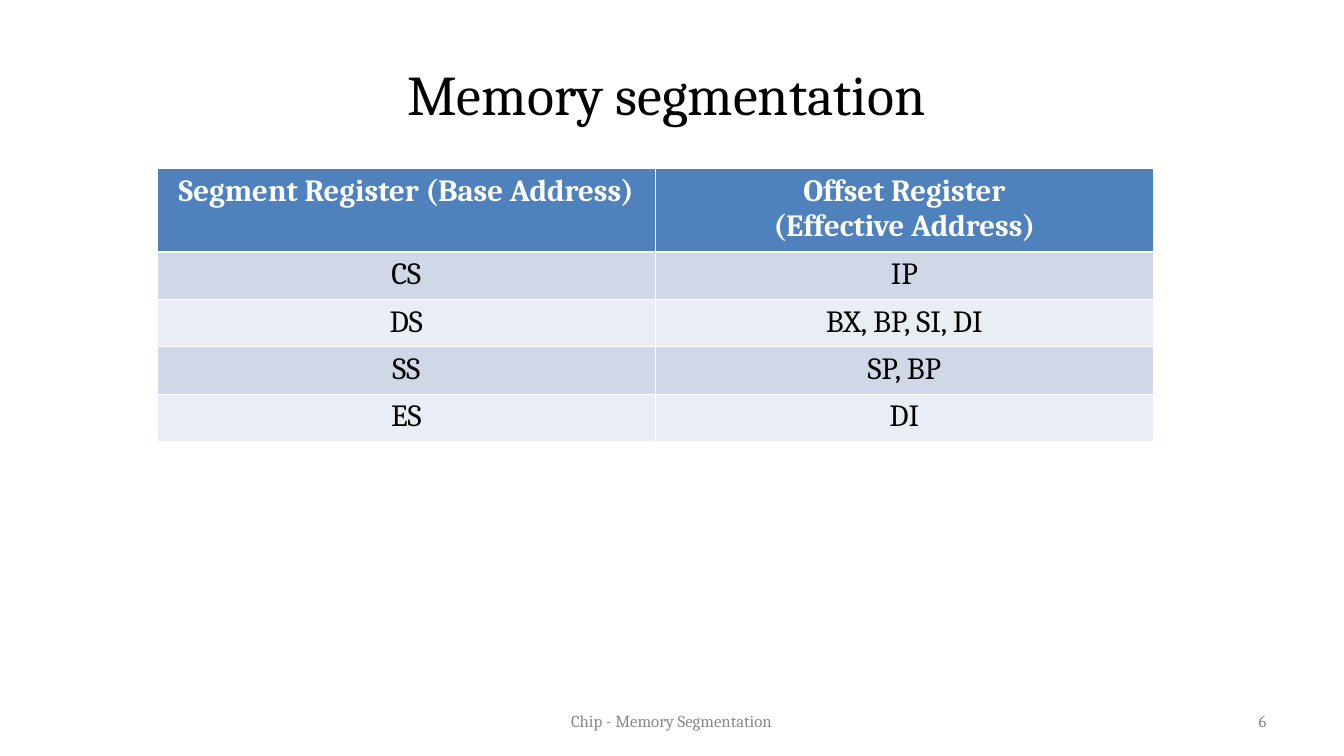
from dataclasses import dataclass

from lxml.etree import SubElement
from pptx import Presentation
from pptx.dml.color import RGBColor as Color
from pptx.enum.text import MSO_ANCHOR as Anchor, PP_ALIGN as Align
from pptx.oxml.ns import qn
from pptx.util import Inches, Pt

TITLE = "Memory segmentation "
HEADER = ("Segment Register (Base Address)", "Offset Register\n(Effective Address)")
REGISTERS = [
    ("CS", "IP"),
    ("DS", "BX, BP, SI, DI"),
    ("SS", "SP, BP"),
    ("ES", "DI"),
]
FOOTERS = [
    ("6", 9.55, 3.11, Align.RIGHT),
    ("Chip - Memory Segmentation", 4.55, 4.22, Align.CENTER),
]


@dataclass(frozen=True)
class Theme:
    font: str = "Cambria"
    title_size: float = 40
    table_size: float = 22
    footer_size: float = 12
    ink: str = "000000"
    paper: str = "FFFFFF"
    muted: str = "898989"
    header: str = "4F81BD"
    bands: tuple = ("D0D8E8", "E9EDF4")
    thin: float = 0.45
    thick: float = 1.47


THEME = Theme()


def style_text(frame, size, color, align=Align.CENTER, bold=False):
    for para in frame.paragraphs:
        para.alignment = align
        para.font.name = THEME.font
        para.font.size = Pt(size)
        para.font.bold = bold
        para.font.color.rgb = Color.from_string(color)


def set_borders(cell, top, bottom):
    properties = cell._tc.get_or_add_tcPr()
    widths = {"L": THEME.thin, "R": THEME.thin, "T": top, "B": bottom}
    for side, width in widths.items():
        line = SubElement(properties, qn(f"a:ln{side}"), w=str(Pt(width)))
        fill = SubElement(line, qn("a:solidFill"))
        SubElement(fill, qn("a:srgbClr"), val=THEME.paper)


def add_title(page):
    title = page.shapes.title
    title.left, title.top = Inches(0.67), Inches(0.3)
    title.width, title.height = Inches(12), Inches(1.25)
    title.text_frame.text = TITLE
    title.text_frame.vertical_anchor = Anchor.MIDDLE
    style_text(title.text_frame, THEME.title_size, THEME.ink)


def add_register_table(page):
    rows = [HEADER, *REGISTERS]
    heights = [0.83] + [0.47] * len(REGISTERS)
    table = page.shapes.add_table(
        len(rows), len(HEADER), Inches(1.56), Inches(1.67),
        Inches(9.88), Inches(sum(heights)),
    ).table
    for column in table.columns:
        column.width = Inches(4.94)
    for index, (texts, height) in enumerate(zip(rows, heights)):
        table.rows[index].height = Inches(height)
        is_header = index == 0
        color = THEME.paper if is_header else THEME.ink
        fill = THEME.header if is_header else THEME.bands[(index - 1) % 2]
        top = THEME.thick if index == 1 else THEME.thin
        bottom = THEME.thick if is_header else THEME.thin
        for cell, text in zip(table.rows[index].cells, texts):
            cell.text = text
            cell.margin_left = cell.margin_right = Inches(0.13)
            cell.margin_top = cell.margin_bottom = Inches(0.05)
            style_text(cell.text_frame, THEME.table_size, color, bold=is_header)
            set_borders(cell, top, bottom)
            cell.fill.solid()
            cell.fill.fore_color.rgb = Color.from_string(fill)


def add_footers(page):
    for text, left, width, align in FOOTERS:
        box = page.shapes.add_textbox(Inches(left), Inches(6.95), Inches(width), Inches(0.4))
        frame = box.text_frame
        frame.word_wrap = True
        frame.vertical_anchor = Anchor.MIDDLE
        frame.text = text
        style_text(frame, THEME.footer_size, THEME.muted, align)


def main():
    deck = Presentation()
    deck.slide_width, deck.slide_height = Inches(13.33), Inches(7.5)
    page = deck.slides.add_slide(deck.slide_layouts.get_by_name("Title Only"))
    add_title(page)
    add_register_table(page)
    add_footers(page)
    deck.save("out.pptx")


if __name__ == "__main__":
    main()
